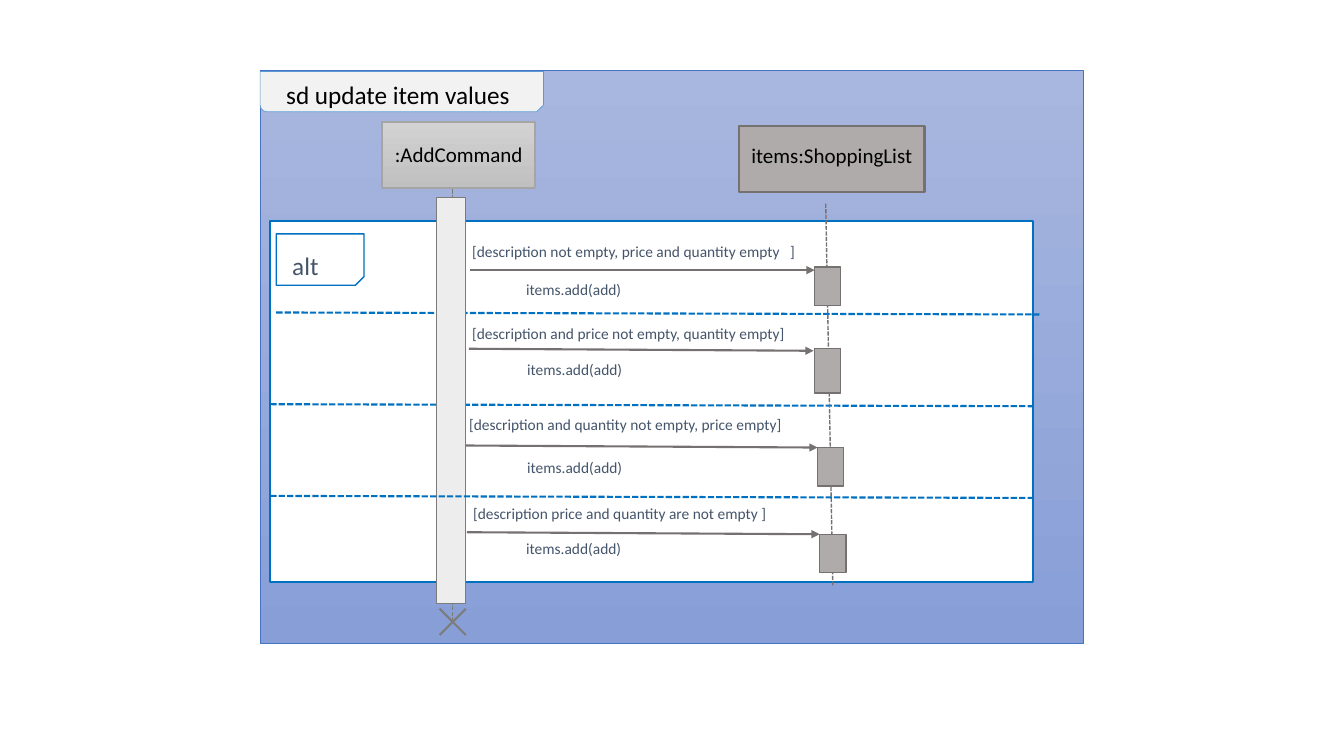
from lxml import etree
from pptx import Presentation
from pptx.dml.color import RGBColor
from pptx.enum.dml import MSO_LINE
from pptx.enum.shapes import MSO_CONNECTOR, MSO_SHAPE
from pptx.enum.text import MSO_ANCHOR, PP_ALIGN
from pptx.oxml.ns import qn
from pptx.util import Inches, Pt

RECT = MSO_SHAPE.RECTANGLE
TAB = MSO_SHAPE.SNIP_ROUND_RECTANGLE
SNIPPED = MSO_SHAPE.SNIP_1_RECTANGLE
STRAIGHT = MSO_CONNECTOR.STRAIGHT
DASHED = MSO_LINE.SQUARE_DOT
TOP, MIDDLE = MSO_ANCHOR.TOP, MSO_ANCHOR.MIDDLE
LEFT, CENTER = PP_ALIGN.LEFT, PP_ALIGN.CENTER

BLACK = RGBColor(0x00, 0x00, 0x00)
WHITE = RGBColor(0xFF, 0xFF, 0xFF)
SLATE = RGBColor(0x44, 0x54, 0x6A)
FRAME_TOP = RGBColor(0xA8, 0xB7, 0xDF)
FRAME_BOTTOM = RGBColor(0x88, 0x9E, 0xD7)
FRAME_LINE = RGBColor(0x44, 0x72, 0xC4)
TAB_FILL = RGBColor(0xF2, 0xF2, 0xF2)
TAB_LINE = RGBColor(0x5B, 0x9B, 0xD5)
ALT_BLUE = RGBColor(0x00, 0x70, 0xC0)
COMMAND_TOP = RGBColor(0xD2, 0xD2, 0xD2)
COMMAND_BOTTOM = RGBColor(0xC0, 0xC0, 0xC0)
COMMAND_EDGE = RGBColor(0xA5, 0xA5, 0xA5)
COMMAND_LINE = RGBColor(0x7C, 0x7C, 0x7C)
BAR_FILL = RGBColor(0xED, 0xED, 0xED)
LIST_FILL = RGBColor(0xAF, 0xAB, 0xAB)
LIST_LINE = RGBColor(0x76, 0x71, 0x71)

FONT = "Calibri"


def add_box(page, kind, box, fill, line, weight, flip=False):
    """Draw a shape; a pair of colours as fill gives a vertical gradient."""
    shape = page.shapes.add_shape(kind, *map(Inches, box))
    shape.shadow.inherit = False
    if isinstance(fill, RGBColor):
        shape.fill.solid()
        shape.fill.fore_color.rgb = fill
    else:
        shape.fill.gradient()
        shape.fill.gradient_angle = 270
        for stop, color in zip(shape.fill.gradient_stops, fill):
            stop.color.rgb = color
    shape.line.color.rgb = line
    shape.line.width = Pt(weight)
    if flip:
        shape._element.spPr.xfrm.set("flipV", "1")
    return shape


def add_line(page, start, end, color, weight, dashed=False, arrow=False):
    line = page.shapes.add_connector(STRAIGHT, *map(Inches, (*start, *end)))
    line.line.color.rgb = color
    line.line.width = Pt(weight)
    if dashed:
        line.line.dash_style = DASHED
    if arrow:
        etree.SubElement(line.line._get_or_add_ln(), qn("a:tailEnd"), type="triangle")
    etree.SubElement(line._element.spPr, qn("a:effectLst"))


def write(frame, text, size, color, anchor=TOP, align=LEFT):
    frame.word_wrap = True
    frame.vertical_anchor = anchor
    para = frame.paragraphs[0]
    para.alignment = align
    span = para.add_run()
    span.text = text
    span.font.name = FONT
    span.font.size = Pt(size)
    span.font.color.rgb = color


def add_text(page, box, text, size, color, anchor=MIDDLE):
    label = page.shapes.add_textbox(*map(Inches, box))
    write(label.text_frame, text, size, color, anchor)


def draw_frame(page, box, title):
    """Outer interaction frame with its name tab."""
    left, top, width, height = box
    add_box(page, RECT, box, (FRAME_TOP, FRAME_BOTTOM), FRAME_LINE, 0.5)
    add_box(page, TAB, (left, top + 0.01, 2.81, 0.4), TAB_FILL, TAB_LINE, 0.5, flip=True)
    add_text(page, (left + 0.16, top + 0.04, 5.12, 0.57), title, 18, BLACK, TOP)


def draw_divider(page, box, offset, shift=0):
    left, top, width, height = box
    add_line(page, (left + shift, top + offset),
             (left + shift + width, top + offset + 0.02), ALT_BLUE, 1.5, dashed=True)


def draw_alt(page, box):
    """White alternatives fragment with its operator tab."""
    left, top, width, height = box
    add_box(page, RECT, box, WHITE, ALT_BLUE, 1.5)
    add_box(page, SNIPPED, (left + 0.06, top + 0.13, 0.87, 0.51), WHITE, ALT_BLUE, 1, flip=True)
    add_text(page, (left + 0.12, top + 0.15, width, 0.58), "alt", 18, SLATE)


def draw_participant(page, box, name, fill, line, inset):
    head = add_box(page, RECT, box, fill, line, 1.5)
    frame = head.text_frame
    frame.margin_left = frame.margin_right = Inches(0.1)
    frame.margin_top = frame.margin_bottom = Inches(inset)
    write(frame, name, 15, BLACK, align=CENTER)


def draw_command(page, box):
    """Command lifeline: end cross, dashed line, activation bar, head."""
    left, top, width, height = box
    middle, end = left + 0.7, top + height
    for first, last in ((-0.26, 0), (0, -0.26)):
        add_line(page, (middle - 0.13, end + first), (middle + 0.13, end + last), COMMAND_LINE, 1.5)
    add_line(page, (middle, top + 0.67), (middle, end - 0.14), COMMAND_LINE, 1, dashed=True)
    add_box(page, RECT, (middle - 0.16, top + 0.75, 0.29, 4.03), BAR_FILL, COMMAND_LINE, 1)
    draw_participant(page, (left, top, width, 0.66), ":AddCommand",
                     (COMMAND_TOP, COMMAND_BOTTOM), COMMAND_EDGE, 0.19)


def draw_list(page, box):
    """Shopping list lifeline, slightly slanted, and its head."""
    left, top, width, height = box
    add_line(page, (left + 0.86, top + 0.77), (left + 0.93, top + height),
             LIST_LINE, 1, dashed=True)
    draw_participant(page, (left, top, width, 0.66), "items:ShoppingList",
                     LIST_FILL, LIST_LINE, 0.16)


def draw_message(page, box, guard, call, arrow, bar):
    """One alternative: guard, arrow, call and receiving bar."""
    left, top, width, height = box
    add_text(page, box, guard, 11, SLATE)
    (start, start_y), (end, end_y) = arrow
    add_line(page, (left + start, top + start_y), (left + end, top + end_y),
             LIST_LINE, 1.5, arrow=True)
    call_left, call_top = call
    add_text(page, (left + call_left, top + call_top, 2.34, 0.34), "items.add(add)", 11, SLATE)
    bar_left, bar_top, bar_height = bar
    add_box(page, RECT, (left + bar_left, top + bar_top, 0.26, bar_height),
            LIST_FILL, LIST_LINE, 1)


# Guard left and top, guard, call offset, arrow offsets, bar offset and height
MESSAGES = [
    (4.55, 2.24, " [description not empty, price and quantity empty   ]",
     (0.57, 0.46), ((0.11, 0.44), (3.53, 0.44)), (3.53, 0.41, 0.38)),
    (4.55, 3.05, " [description and price not empty, quantity empty]",
     (0.58, 0.44), ((0.1, 0.41), (3.52, 0.43)), (3.53, 0.41, 0.44)),
    (4.52, 3.95, " [description and quantity not empty, price empty]",
     (0.61, 0.52), ((0.1, 0.47), (3.59, 0.49)), (3.59, 0.49, 0.38)),
    (4.56, 4.84, " [description price and quantity are not empty ]",
     (0.56, 0.43), ((0.07, 0.44), (3.57, 0.46)), (3.57, 0.46, 0.38)),
]

deck = Presentation()
deck.slide_width, deck.slide_height = Inches(13.33), Inches(7.5)
page = deck.slides.add_slide(deck.slide_layouts[6])

alt_box = (2.68, 2.19, 7.57, 3.58)
draw_frame(page, (2.58, 0.7, 8.17, 5.68), "sd update item values")
draw_alt(page, alt_box)
draw_divider(page, alt_box, 0.91, shift=0.06)
draw_divider(page, alt_box, 1.82)
draw_list(page, (7.33, 1.25, 1.84, 4.56))
draw_command(page, (3.79, 1.21, 1.52, 5.09))
# The last divider crosses in front of the activation bar
draw_divider(page, alt_box, 2.73)
for left, top, guard, call, arrow, bar in MESSAGES:
    draw_message(page, (left, top, 3.64, 0.51), guard, call, arrow, bar)

deck.save("out.pptx")
